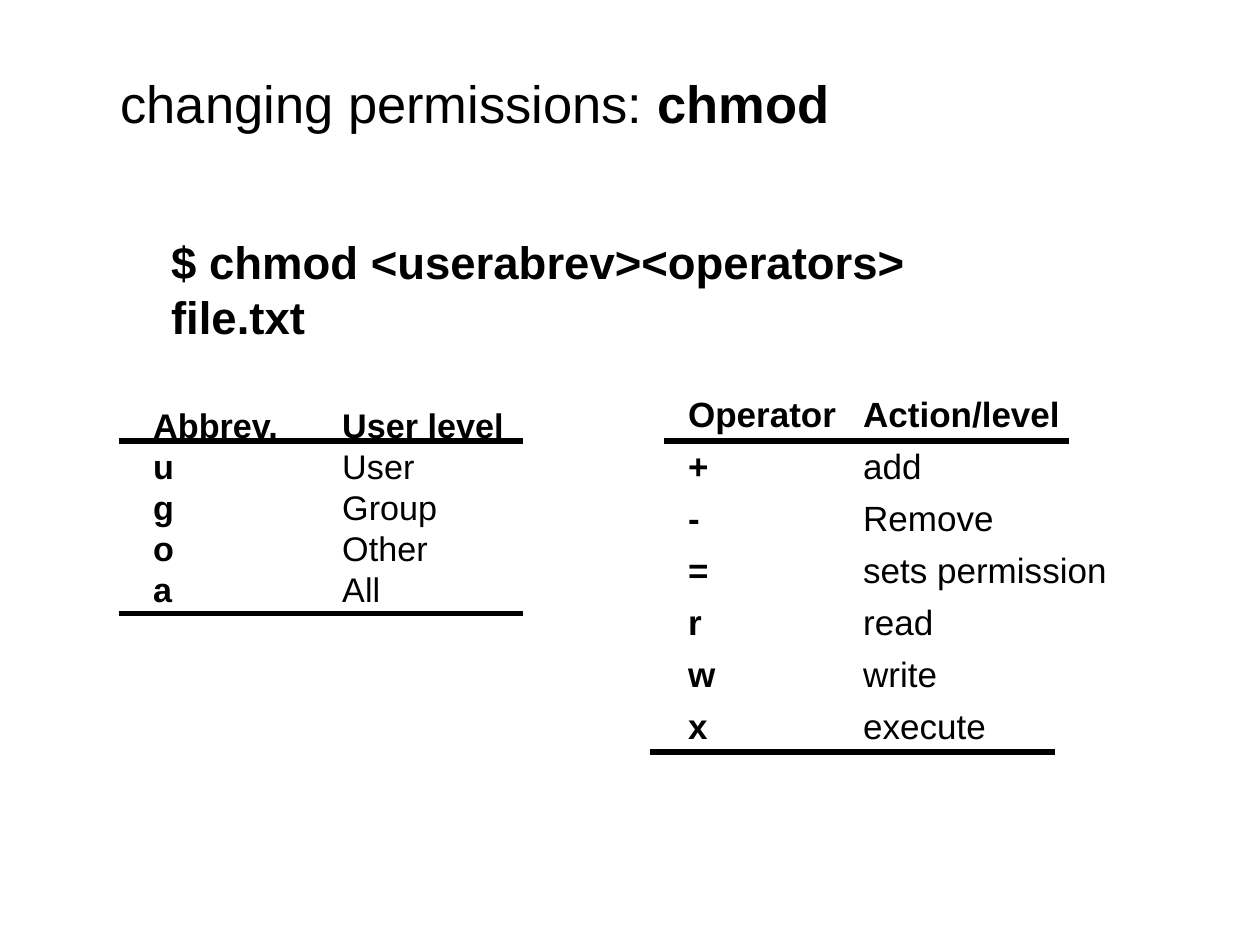
from dataclasses import dataclass

from lxml import etree
from pptx import Presentation
from pptx.dml.color import RGBColor
from pptx.enum.shapes import MSO_CONNECTOR
from pptx.enum.text import MSO_ANCHOR
from pptx.oxml.ns import qn
from pptx.util import Cm, Pt

STRAIGHT = MSO_CONNECTOR.STRAIGHT
MIDDLE = MSO_ANCHOR.MIDDLE


@dataclass(frozen=True)
class Theme:
    font: str = "Arial"
    ink: RGBColor = RGBColor(0, 0, 0)
    title: float = 30
    command: float = 26
    user_levels: float = 19.5
    operators: float = 20
    rule: float = 3


THEME = Theme()

USER_LEVELS = [
    ("Abbrev.", "User level"),
    ("u", "User"),
    ("g", "Group"),
    ("o", "Other"),
    ("a", "All"),
]
OPERATORS = [
    ("Operator", "Action/level"),
    ("+", "add"),
    ("-", "Remove"),
    ("=", "sets permission"),
    ("r", "read"),
    ("w", "write"),
    ("x", "execute"),
]
RULE_LENGTH = 8.15
RULE_STARTS = [(2.39, 8.89), (2.39, 12.37), (13.39, 8.89), (13.11, 15.16)]


def style_paragraph(paragraph, size, bold=None):
    font = paragraph.font
    font.name = THEME.font
    font.size = Pt(size)
    font.color.rgb = THEME.ink
    font.bold = bold


def add_run(paragraph, text, bold):
    run = paragraph.add_run()
    run.text = text
    run.font.bold = bold


def add_text(slide, left, top, width, height, lines, size, wrap=True):
    frame = slide.shapes.add_textbox(Cm(left), Cm(top), Cm(width), Cm(height)).text_frame
    frame.word_wrap = wrap
    for index, runs in enumerate(lines):
        paragraph = frame.add_paragraph() if index else frame.paragraphs[0]
        style_paragraph(paragraph, size)
        for text, bold in runs:
            add_run(paragraph, text, bold)
    return frame


def set_tab_stop(paragraph, position):
    properties = paragraph._p.get_or_add_pPr()
    tabs = etree.Element(qn("a:tabLst"))
    etree.SubElement(tabs, qn("a:tab"), pos=str(Cm(position)), algn="l")
    properties.find(qn("a:defRPr")).addprevious(tabs)


def add_user_levels(slide):
    lines = [
        [(abbreviation, True), ("\t" + level, index == 0)]
        for index, (abbreviation, level) in enumerate(USER_LEVELS)
    ]
    frame = add_text(slide, 2.84, 8.03, 12.7, 5.26, lines, THEME.user_levels)
    for paragraph in frame.paragraphs:
        set_tab_stop(paragraph, 3.81)


def add_operators(slide):
    height = Cm(7.31)
    table = slide.shapes.add_table(
        len(OPERATORS), 2, Cm(13.67), Cm(7.85), Cm(21.89), height
    ).table
    table.horz_banding = False
    table.first_row = False
    for column, width in zip(table.columns, (3.53, 18.36)):
        column.width = Cm(width)
    for row_index, entries in enumerate(OPERATORS):
        table.rows[row_index].height = height // len(OPERATORS)
        for column_index, text in enumerate(entries):
            cell = table.cell(row_index, column_index)
            cell.fill.background()
            cell.vertical_anchor = MIDDLE
            cell.margin_left = cell.margin_right = Cm(0.2)
            cell.margin_top = cell.margin_bottom = Cm(0.1)
            cell.text = text
            bold = row_index == 0 or column_index == 0
            style_paragraph(cell.text_frame.paragraphs[0], THEME.operators, bold)


def add_rule(slide, left, top):
    rule = slide.shapes.add_connector(
        STRAIGHT, Cm(left), Cm(top), Cm(left + RULE_LENGTH), Cm(top)
    )
    rule.line.color.rgb = THEME.ink
    rule.line.width = Pt(THEME.rule)
    etree.SubElement(rule._element.spPr, qn("a:effectLst"))


def main():
    presentation = Presentation()
    presentation.slide_width = Cm(25.4)
    presentation.slide_height = Cm(19.05)
    slide = presentation.slides.add_slide(presentation.slide_layouts[6])

    add_user_levels(slide)
    add_operators(slide)
    for left, top in RULE_STARTS:
        add_rule(slide, left, top)
    title = [("changing permissions: ", False), ("chmod", True)]
    add_text(slide, 2.18, 1.3, 15.01, 1.55, [title], THEME.title, wrap=False)
    command = [("$ chmod <userabrev><operators> file.txt", True)]
    add_text(slide, 3.2, 4.6, 17.7, 1.37, [command], THEME.command)

    presentation.save("out.pptx")


if __name__ == "__main__":
    main()
